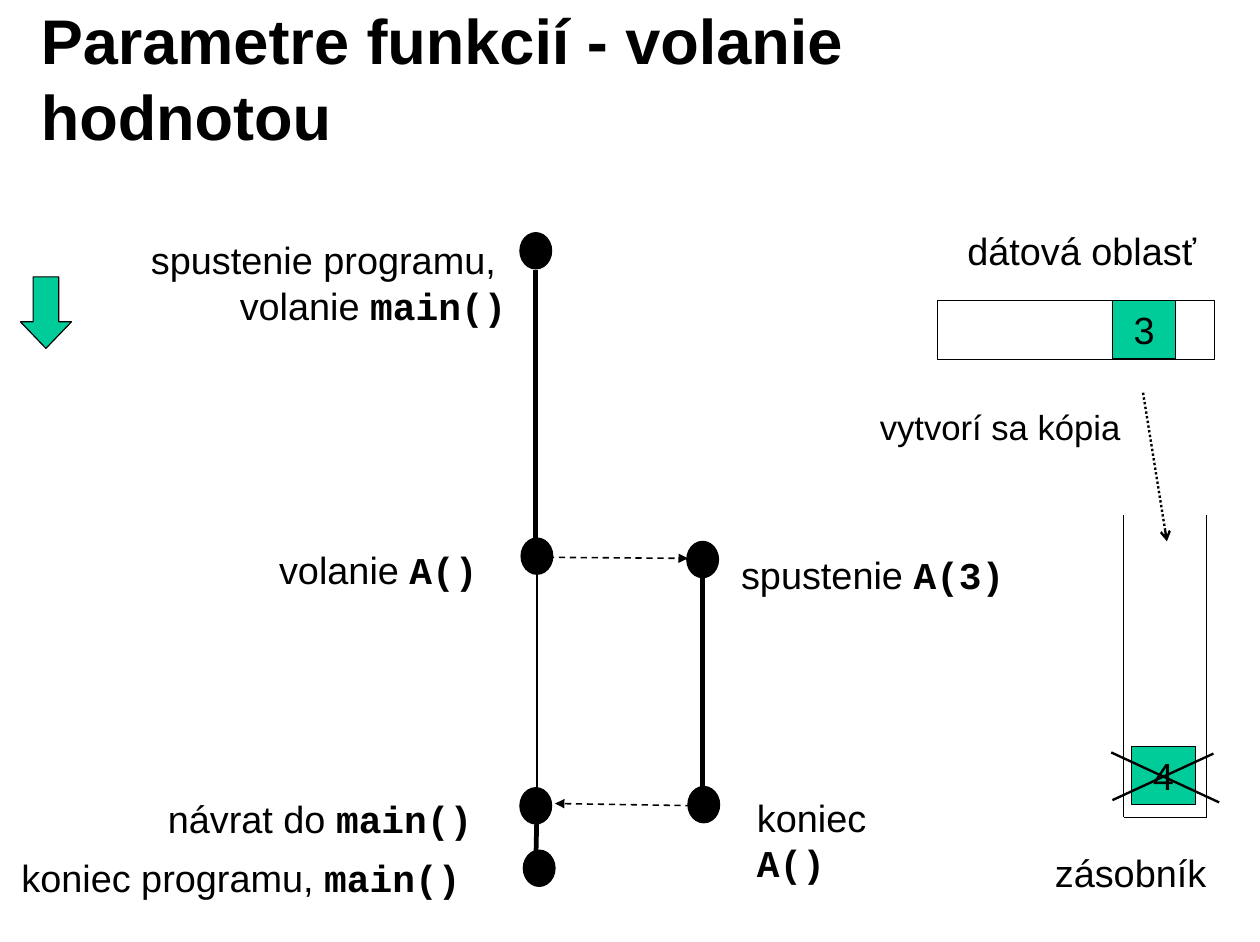
from dataclasses import dataclass

from pptx import Presentation
from pptx.dml.color import RGBColor
from pptx.enum.dml import MSO_LINE
from pptx.enum.shapes import MSO_CONNECTOR, MSO_SHAPE
from pptx.enum.text import MSO_ANCHOR, MSO_AUTO_SIZE, PP_ALIGN
from pptx.oxml.ns import qn
from pptx.util import Inches, Pt
from lxml.etree import SubElement


@dataclass(frozen=True)
class Theme:
    ink: RGBColor = RGBColor(0x00, 0x00, 0x00)
    paper: RGBColor = RGBColor(0xFF, 0xFF, 0xFF)
    accent: RGBColor = RGBColor(0x00, 0xCC, 0x99)
    text_face: str = "Arial"
    code_face: str = "Courier New"
    title_size: int = 40
    body_size: int = 24
    note_size: int = 22
    outline: float = 0.75
    thin: float = 1
    medium: float = 1.5
    thick: float = 3


class CallDiagram:
    NODE_WIDTH, NODE_HEIGHT = 0.28, 0.32

    def __init__(self, slide, theme):
        self.slide = slide
        self.theme = theme

    def place_text(self, frame, align, anchor, inset=(0.1, 0.05)):
        frame.margin_left = frame.margin_right = Inches(inset[0])
        frame.margin_top = frame.margin_bottom = Inches(inset[1])
        frame.vertical_anchor = anchor
        frame.paragraphs[0].alignment = align

    def style_font(self, font, size, bold=False):
        font.name = self.theme.text_face
        font.size = Pt(size)
        font.bold = bold
        font.color.rgb = self.theme.ink

    def title(self, text, left, top, width, height):
        heading = self.slide.shapes.title
        heading.left, heading.top = Inches(left), Inches(top)
        heading.width, heading.height = Inches(width), Inches(height)
        frame = heading.text_frame
        frame.text = text
        frame.word_wrap = True
        frame.auto_size = MSO_AUTO_SIZE.NONE
        self.place_text(frame, PP_ALIGN.LEFT, MSO_ANCHOR.MIDDLE, (0.11, 0.06))
        self.style_font(frame.paragraphs[0].font, self.theme.title_size, bold=True)

    def label(self, lines, left, top, width, height, align=PP_ALIGN.LEFT, size=None):
        """Add unwrapped text; each line is a (plain text, code) pair."""
        box = self.slide.shapes.add_textbox(
            Inches(left), Inches(top), Inches(width), Inches(height))
        frame = box.text_frame
        frame.word_wrap = False
        self.place_text(frame, align, MSO_ANCHOR.TOP)
        for index, (plain, code) in enumerate(lines):
            paragraph = frame.paragraphs[0] if index == 0 else frame.add_paragraph()
            paragraph.alignment = align
            self.style_font(paragraph.font, size or self.theme.body_size)
            paragraph.add_run().text = plain
            if code:
                call = paragraph.add_run()
                call.text = code
                call.font.name = self.theme.code_face
                call.font.bold = True

    def block(self, preset, left, top, width, height, fill, text=""):
        block = self.slide.shapes.add_shape(
            preset, Inches(left), Inches(top), Inches(width), Inches(height))
        block.shadow.inherit = False
        block.fill.solid()
        block.fill.fore_color.rgb = fill
        block.line.color.rgb = self.theme.ink
        block.line.width = Pt(self.theme.outline)
        if text:
            frame = block.text_frame
            frame.text = text
            self.place_text(frame, PP_ALIGN.CENTER, MSO_ANCHOR.MIDDLE)
            self.style_font(frame.paragraphs[0].font, self.theme.body_size)
        return block

    def node(self, left, top):
        self.block(MSO_SHAPE.OVAL, left, top, self.NODE_WIDTH, self.NODE_HEIGHT,
                   self.theme.ink)

    def value(self, text, left, top):
        self.block(MSO_SHAPE.RECTANGLE, left, top, 0.56, 0.51, self.theme.accent, text)

    def line(self, start, end, weight, dash=None, head=None):
        line = self.slide.shapes.add_connector(
            MSO_CONNECTOR.STRAIGHT, *map(Inches, start + end))
        line.line.color.rgb = self.theme.ink
        line.line.width = Pt(weight)
        if dash:
            line.line.dash_style = dash
        properties = line._element.spPr
        if head:
            SubElement(properties.find(qn("a:ln")), qn("a:tailEnd"), type=head)
        SubElement(properties, qn("a:effectLst"))


def draw_timeline(diagram):
    theme = diagram.theme
    main_x, callee_x = 4.73, 6.19
    diagram.line((callee_x, 4.91), (callee_x, 7.1), theme.thick)
    diagram.line((main_x, 4.9), (main_x, 7.06), theme.thin)
    diagram.line((main_x, 4.91), (6.06, 4.92), theme.thin, MSO_LINE.DASH, "triangle")
    diagram.line((callee_x, 7.1), (4.89, 7.08), theme.thin, MSO_LINE.DASH, "triangle")
    diagram.line((main_x, 7.15), (4.72, 7.63), theme.thick)
    diagram.line((4.72, 2.38), (4.72, 4.93), theme.thick)

    for left, top in [(4.58, 2.05), (4.59, 4.74), (6.05, 4.77),
                      (4.61, 7.49), (4.58, 6.94), (6.06, 6.93)]:
        diagram.node(left, top)

    diagram.label([("spustenie programu, ", ""), ("volanie ", "main()")],
                  1.23, 2.04, 3.33, 0.9, PP_ALIGN.RIGHT)
    for plain, code, left, top, width in [
        ("volanie ", "A()", 2.36, 4.77, 1.95),
        ("spustenie ", "A(3)", 6.43, 4.81, 2.52),
        ("koniec programu, ", "main()", 0.09, 7.48, 4.07),
        ("návrat do ", "main()", 1.38, 6.96, 2.88),
        ("koniec ", "A()", 6.57, 6.95, 1.85),
    ]:
        diagram.label([(plain, code)], left, top, width, 0.5)

    time_arrow = diagram.block(MSO_SHAPE.DOWN_ARROW, 0.18, 2.44, 0.45, 0.63, theme.accent)
    time_arrow.adjustments[1] = 0.52


def draw_memory(diagram):
    theme = diagram.theme
    diagram.label([("dátová oblasť", "")], 8.41, 1.96, 2.24, 0.51, PP_ALIGN.CENTER)
    diagram.block(MSO_SHAPE.RECTANGLE, 8.26, 2.65, 2.44, 0.52, theme.paper)
    diagram.value("3", 9.8, 2.65)

    diagram.label([("vytvorí sa kópia", "")], 7.65, 3.53, 2.32, 0.47,
                  PP_ALIGN.CENTER, theme.note_size)
    diagram.line((10.07, 3.46), (10.28, 4.77), theme.medium, MSO_LINE.ROUND_DOT, "arrow")

    stack_left, stack_right, stack_bottom = 9.9, 10.63, 7.2
    for side in (stack_left, stack_right):
        diagram.line((side, 4.54), (side, stack_bottom), theme.outline)
    diagram.line((stack_right, stack_bottom), (stack_left, stack_bottom), theme.outline)
    diagram.value("4", 9.97, 6.58)
    diagram.line((9.79, 6.63), (10.74, 7.07), theme.medium)
    diagram.line((9.8, 7.05), (10.69, 6.64), theme.medium)
    diagram.label([("zásobník", "")], 9.18, 7.44, 1.56, 0.51, PP_ALIGN.CENTER)


def main():
    presentation = Presentation()
    presentation.slide_width = Inches(11.1)
    presentation.slide_height = Inches(8.3)
    slide = presentation.slides.add_slide(presentation.slide_layouts[5])
    diagram = CallDiagram(slide, Theme())
    diagram.title("Parametre funkcií - volanie hodnotou", 0.25, 0.17, 8.91, 1.02)
    draw_timeline(diagram)
    draw_memory(diagram)
    presentation.save("out.pptx")


if __name__ == "__main__":
    main()
